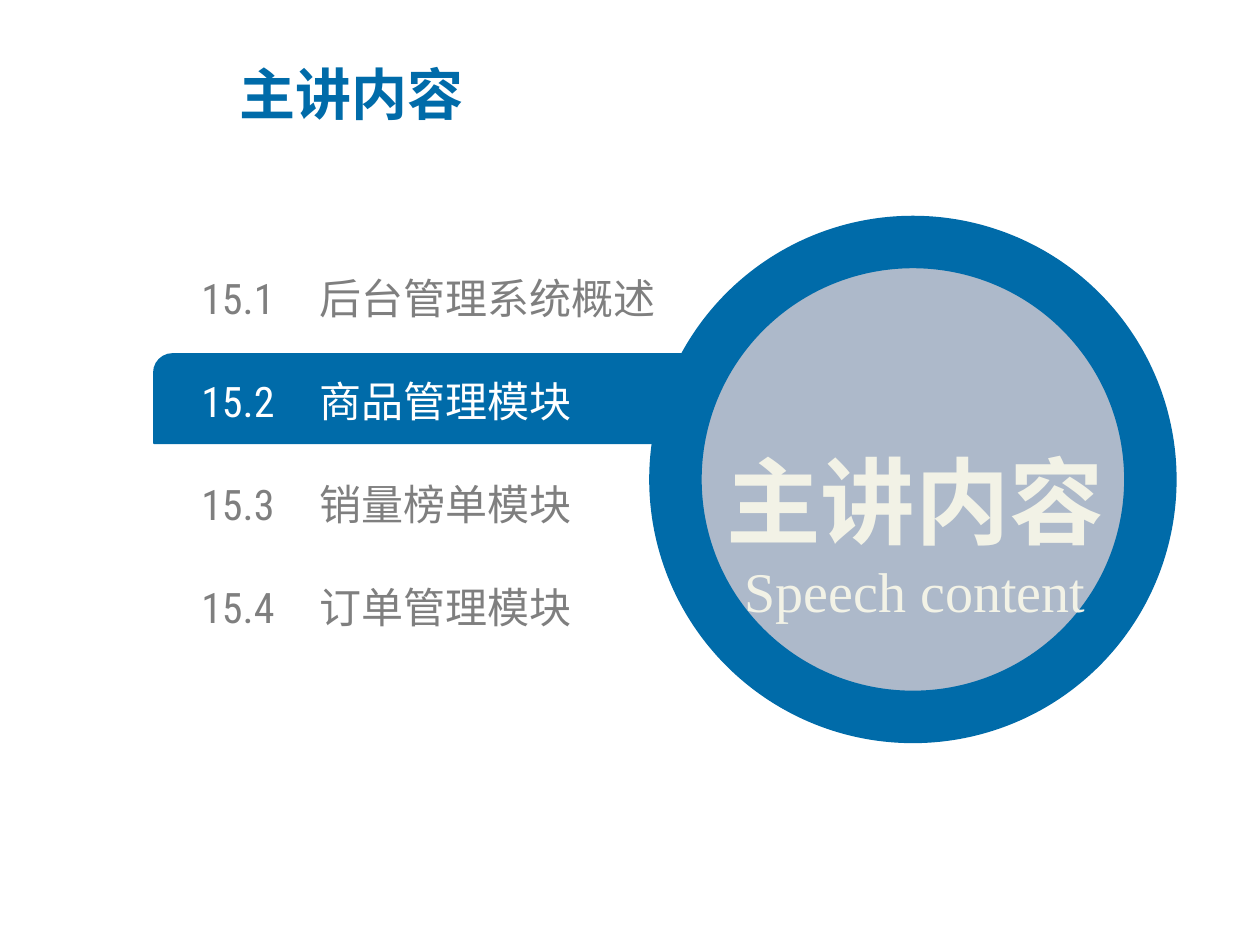
from dataclasses import dataclass

from lxml.etree import SubElement
from pptx import Presentation
from pptx.dml.color import RGBColor
from pptx.enum.shapes import MSO_SHAPE
from pptx.enum.text import MSO_ANCHOR, PP_ALIGN
from pptx.oxml.ns import qn
from pptx.util import Pt


@dataclass(frozen=True)
class Theme:
    blue: str = "006BA9"
    disc: str = "ADB9CA"
    cream: str = "F2F2E6"
    grey: str = "7F7F7F"
    white: str = "FFFFFF"
    cjk_font: str = "Noto Sans CJK SC"
    item_font: str = "Roboto Condensed"
    serif_font: str = "Times New Roman"
    title_size: int = 32
    item_size: int = 24
    badge_size: int = 54
    caption_size: int = 32


THEME = Theme()
TOPICS = [
    ("15.1", "后台管理系统概述"),
    ("15.2", "商品管理模块"),
    ("15.3", "销量榜单模块"),
    ("15.4", "订单管理模块"),
]
CURRENT_TOPIC = 1


def add_frame(slide, box, inset=None):
    """Add a wrapping, vertically centred text frame."""
    frame = slide.shapes.add_textbox(*(Pt(v) for v in box)).text_frame
    frame.word_wrap = True
    frame.vertical_anchor = MSO_ANCHOR.MIDDLE
    if inset is not None:
        frame.margin_left = frame.margin_right = Pt(inset)
        frame.margin_top = frame.margin_bottom = Pt(inset)
    return frame


def write(paragraph, text, *, font, size, color, bold=False,
          align=PP_ALIGN.LEFT, spacing=None, tab=None):
    """Write one formatted run; tab is a left tab stop in points."""
    paragraph.alignment = align
    if spacing:
        paragraph.line_spacing = spacing
    if tab:
        stops = SubElement(paragraph._p.get_or_add_pPr(), qn("a:tabLst"))
        SubElement(stops, qn("a:tab"), pos=str(Pt(tab)), algn="l")
    run = paragraph.add_run()
    run.text = text
    run.font.name = font
    run.font.size = Pt(size)
    run.font.bold = bold
    run.font.color.rgb = RGBColor.from_string(color)
    SubElement(run._r.get_or_add_rPr(), qn("a:ea"), typeface=THEME.cjk_font)


def add_panel(slide, preset, box, fill, line, weight):
    panel = slide.shapes.add_shape(preset, *(Pt(v) for v in box))
    panel.shadow.inherit = False
    panel.fill.solid()
    panel.fill.fore_color.rgb = RGBColor.from_string(fill)
    panel.line.color.rgb = RGBColor.from_string(line)
    panel.line.width = Pt(weight)
    return panel


def add_title(slide, box):
    write(add_frame(slide, box).paragraphs[0], "主讲内容", font=THEME.cjk_font,
          size=THEME.title_size, color=THEME.blue, bold=True)


def add_agenda(slide, box):
    left, top, width, height = box
    row_height = 29
    pitch = (height - row_height) / (len(TOPICS) - 1)

    # Bar behind the current topic, reaching under the badge
    bar = add_panel(slide, MSO_SHAPE.ROUND_2_DIAG_RECTANGLE,
                    (left - 27, top + CURRENT_TOPIC * pitch - 12, 368.5, 51),
                    THEME.blue, THEME.blue, 1)
    bar.adjustments[0] = 0.209
    bar.adjustments[1] = 0

    # Topic rows
    for row, (number, topic) in enumerate(TOPICS):
        frame = add_frame(slide, (left, top + row * pitch, width, row_height), inset=0)
        write(frame.paragraphs[0], f"{number}\t{topic}", font=THEME.item_font,
              size=THEME.item_size, tab=67.5,
              color=THEME.white if row == CURRENT_TOPIC else THEME.grey)


def add_badge(slide, box):
    left, top, diameter, _ = box
    add_panel(slide, MSO_SHAPE.OVAL, box, THEME.disc, THEME.blue, 30)

    # Heading and caption, slightly wider than the disc
    frame = add_frame(slide, (left - 3.5, top + 78.5, diameter + 9.5, 144))
    write(frame.paragraphs[0], "主讲内容", font=THEME.cjk_font, size=THEME.badge_size,
          color=THEME.cream, bold=True, align=PP_ALIGN.CENTER, spacing=1.5)
    write(frame.add_paragraph(), "Speech content", font=THEME.serif_font,
          size=THEME.caption_size, color=THEME.cream, align=PP_ALIGN.CENTER)


def main():
    deck = Presentation()
    deck.slide_width, deck.slide_height = Pt(720), Pt(540)
    slide = deck.slides.add_slide(deck.slide_layouts[6])
    add_agenda(slide, (115, 155.5, 264, 205.4))
    add_badge(slide, (386, 138.3, 271.4, 271.4))
    add_title(slide, (129.6, 31, 389.5, 44))
    deck.save("out.pptx")


if __name__ == "__main__":
    main()
